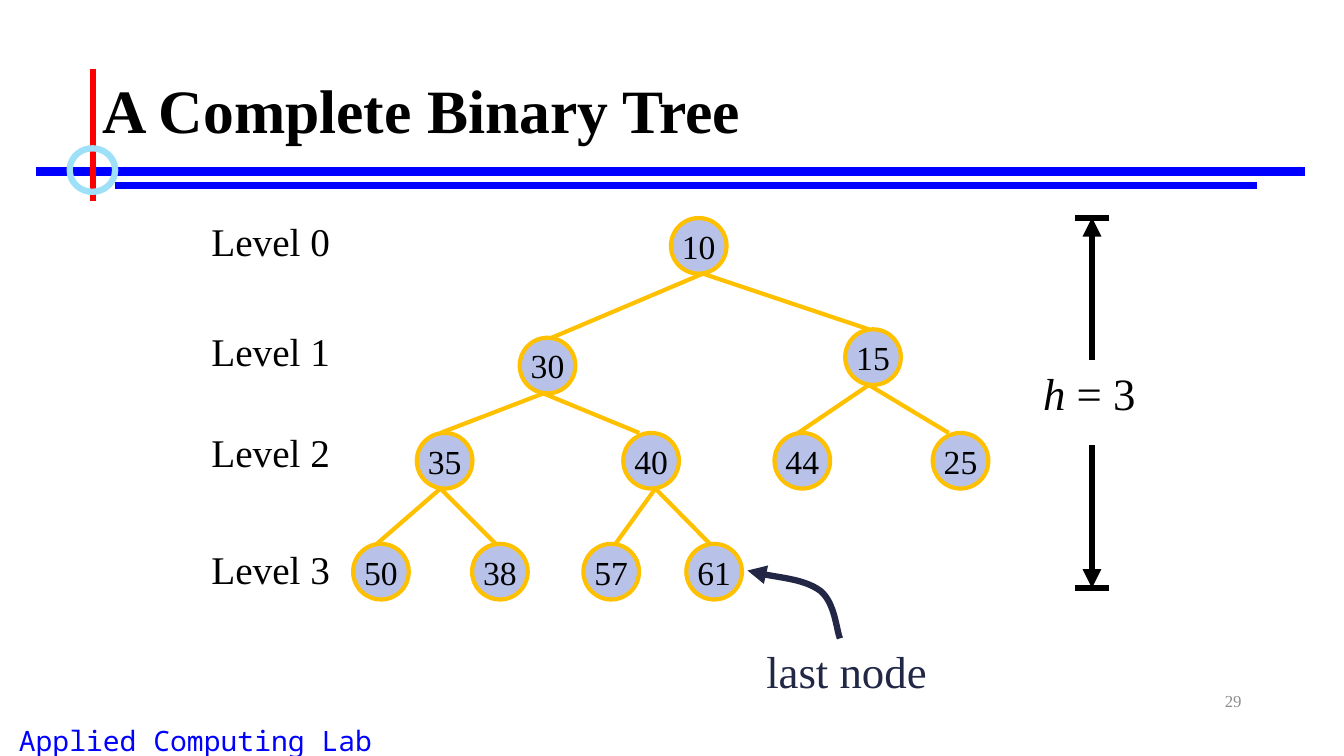
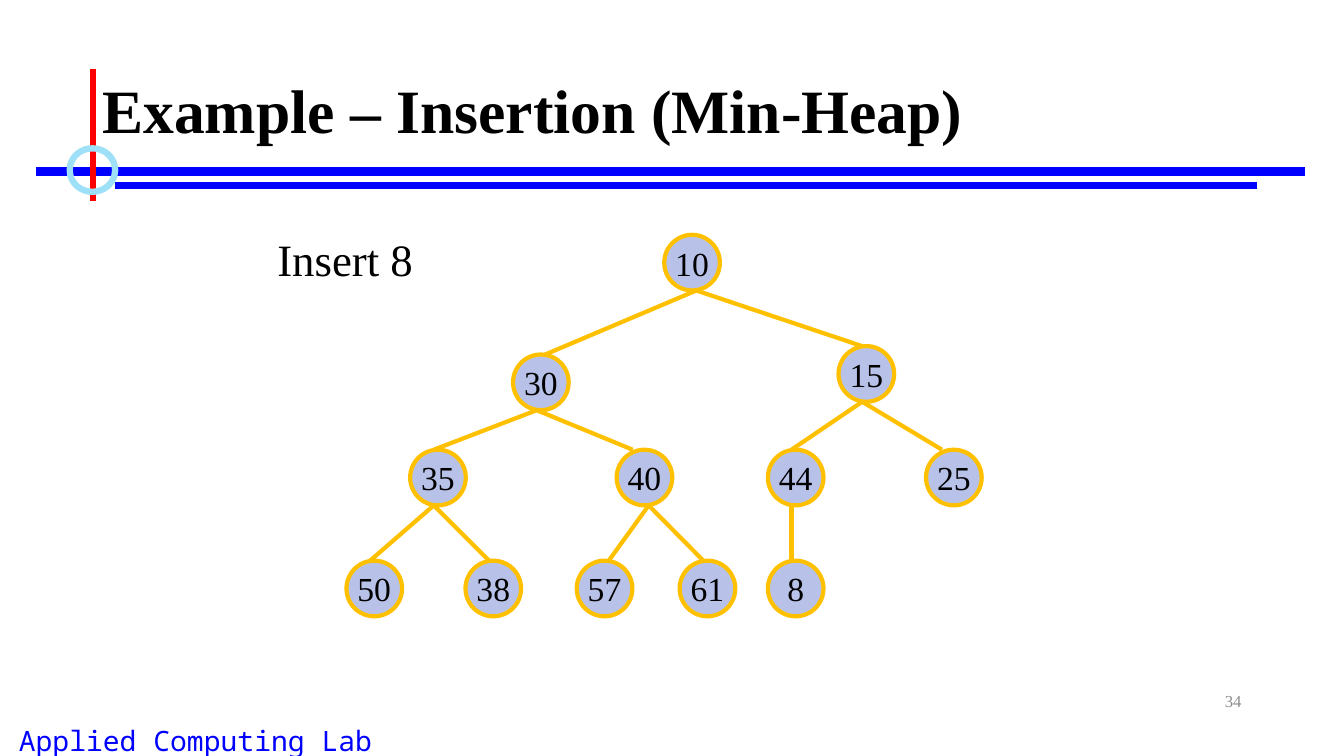
from dataclasses import dataclass
from typing import NamedTuple

from lxml.etree import SubElement
from pptx import Presentation
from pptx.dml.color import RGBColor
from pptx.enum.shapes import MSO_CONNECTOR, MSO_SHAPE
from pptx.enum.text import MSO_ANCHOR, PP_ALIGN
from pptx.oxml.ns import qn
from pptx.util import Pt


@dataclass(frozen=True)
class Theme:
    """Colours, fonts, type sizes and line widths of the deck."""

    ink: str = "000000"
    rule: str = "0000FF"
    accent: str = "FF0000"
    ring: str = "9EE0F8"
    muted: str = "8C8C8C"
    callout: str = "212745"
    node_fill: str = "B8C2E9"
    node_line: str = "FFC000"
    serif: str = "Times New Roman"
    mono: str = "Noto Sans Mono"
    title_size: float = 44
    note_size: float = 32
    level_size: float = 28
    node_size: float = 24
    footer_size: float = 20
    number_size: float = 12
    thin: float = 3
    medium: float = 4.5
    thick: float = 6


class Box(NamedTuple):
    """A region in points."""

    left: float
    top: float
    width: float
    height: float

    def inner(self, left, top, width, height):
        """Return a box placed relative to this one."""
        return Box(self.left + left, self.top + top, width, height)

    def emu(self):
        """Return the four lengths for python-pptx."""
        return [Pt(length) for length in self]


class Node(NamedTuple):
    """A tree node: its place, parent and where edges meet it."""

    value: int
    left: float
    top: float
    parent: int = None
    edge_in: float = -3
    edge_out: float = -3


THEME = Theme()
SLIDE = Box(0, 0, 960, 540)
NODE_SIDE = 39.75
ROW_TOPS = (0, 79.5, 153.5, 232.75)
TREE = [
    Node(10, 227, ROW_TOPS[0], edge_out=3),
    Node(30, 119, 85.5, 10, edge_in=3),
    Node(15, 351.5, ROW_TOPS[1], 10),
    Node(35, 45.5, ROW_TOPS[2], 30),
    Node(40, 193, ROW_TOPS[2], 30, edge_in=-8.5, edge_out=3),
    Node(44, 301, ROW_TOPS[2], 15),
    Node(25, 414, ROW_TOPS[2], 15, edge_in=-8.5),
    Node(50, 0, ROW_TOPS[3], 35),
    Node(38, 85, ROW_TOPS[3], 35),
    Node(57, 164.5, ROW_TOPS[3], 40, edge_in=3),
    Node(61, 238, ROW_TOPS[3], 40),
]
INSERTED = Node(8, 301, ROW_TOPS[3], 44)


def set_text(frame, text, size, color=THEME.ink, font=THEME.serif, bold=False,
             italic_lead="", align=PP_ALIGN.LEFT, anchor=MSO_ANCHOR.TOP,
             wrap=False, spacing=None):
    """Fill a text frame with one formatted paragraph."""
    frame.word_wrap = wrap
    frame.vertical_anchor = anchor
    paragraph = frame.paragraphs[0]
    paragraph.alignment = align
    paragraph.line_spacing = spacing
    for words, italic in ((italic_lead, True), (text, False)):
        if words:
            run = paragraph.add_run()
            run.text = words
            run.font.color.rgb = RGBColor.from_string(color)
            formats = {"name": font, "size": Pt(size), "bold": bold, "italic": italic}
            for name, value in formats.items():
                setattr(run.font, name, value)


def add_text(slide, box, text, size, **formats):
    """Add a text box."""
    set_text(slide.shapes.add_textbox(*box.emu()).text_frame, text, size, **formats)


def set_line(part, color, width, arrow=False):
    """Colour an outline and give its end an optional arrowhead."""
    part.line.color.rgb = RGBColor.from_string(color)
    part.line.width = Pt(width)
    if arrow:
        outline = next(part._element.iter(qn("a:ln")))
        SubElement(outline, qn("a:tailEnd"), type="triangle")


def add_line(slide, start, end, color, width, arrow=False):
    """Add a straight connector without a shadow."""
    ends = [Pt(length) for length in (*start, *end)]
    connector = slide.shapes.add_connector(MSO_CONNECTOR.STRAIGHT, *ends)
    set_line(connector, color, width, arrow)
    SubElement(connector._element.spPr, qn("a:effectLst"))


def add_circle(slide, box, color, width, fill=None):
    """Add an ellipse, hollow unless a fill is given."""
    circle = slide.shapes.add_shape(MSO_SHAPE.OVAL, *box.emu())
    circle.shadow.inherit = False
    if fill:
        circle.fill.solid()
        circle.fill.fore_color.rgb = RGBColor.from_string(fill)
    else:
        circle.fill.background()
    set_line(circle, color, width)
    return circle


def add_frame(slide, box, title, number):
    """Place the rules, footer, title and slide number."""
    add_text(slide, box.inner(0, 513.5, 279.5, 26.5), "Applied Computing Lab",
             THEME.footer_size, color=THEME.rule, font=THEME.mono,
             align=PP_ALIGN.CENTER, wrap=True)
    rules = [
        ((25.5, 122.5), (932.5, 122.5), THEME.rule, THEME.thick),
        ((82, 132.5), (898, 132.5), THEME.rule, THEME.medium),
        ((66.25, 49), (66.25, 143.5), THEME.accent, THEME.medium),
    ]
    for start, end, color, width in rules:
        add_line(slide, box.inner(*start, 0, 0)[:2], box.inner(*end, 0, 0)[:2],
                 color, width)
    add_circle(slide, box.inner(49.75, 106, 32.5, 31), THEME.ring, THEME.medium)
    add_text(slide, box.inner(66, 29, 828, 104.5), title, THEME.title_size, bold=True,
             anchor=MSO_ANCHOR.MIDDLE, wrap=True, spacing=0.9)
    add_text(slide, box.inner(678, 486, 216, 29), str(number), THEME.number_size,
             color=THEME.muted, align=PP_ALIGN.RIGHT, anchor=MSO_ANCHOR.MIDDLE,
             wrap=True)


def add_tree(slide, box, nodes):
    """Draw the nodes, then an edge from each parent to its child."""
    places = {}
    for node in nodes:
        place = box.inner(node.left, node.top, NODE_SIDE, NODE_SIDE)
        circle = add_circle(slide, place, THEME.node_line, THEME.thin, THEME.node_fill)
        set_text(circle.text_frame, str(node.value), THEME.node_size,
                 align=PP_ALIGN.CENTER, anchor=MSO_ANCHOR.MIDDLE)
        places[node.value] = node, place
    for child, low in places.values():
        if child.parent is not None:
            parent, high = places[child.parent]
            start = high.left + NODE_SIDE / 2 + parent.edge_out, high.top + NODE_SIDE
            end = low.left + NODE_SIDE / 2 + child.edge_in, low.top
            add_line(slide, start, end, THEME.node_line, THEME.thin)


def add_levels(slide, box):
    """Label the levels of the tree."""
    for level, top in enumerate((0, 78.5, 150.5, 234)):
        add_text(slide, box.inner(0, top, box.width, 41), f"Level {level}",
                 THEME.level_size)


def add_height(slide, box):
    """Mark the height of the tree with two arrows between end bars."""
    axis, reach, half_bar = box.left + 42, 102, 12
    bottom = box.top + box.height
    for tip, tail in ((box.top, box.top + reach), (bottom, bottom - reach)):
        add_line(slide, (axis, tail), (axis, tip), THEME.ink, THEME.medium, arrow=True)
        add_line(slide, (axis - half_bar, tip), (axis + half_bar, tip),
                 THEME.ink, THEME.medium)
    add_text(slide, box.inner(0, reach, box.width, 46), " = 3", THEME.note_size,
             italic_lead="h")


def add_callout(slide, box):
    """Point a curved arrow from its label to the last node."""
    curve = [(66, 48.5), (63.5, 42.5), (62.5, 23), (52, 14.5), (41, 6.5), (11, 3.5), (0, 0)]
    start, *controls = [(Pt(box.left + x), Pt(box.top + y)) for x, y in curve]
    builder = slide.shapes.build_freeform(*start)
    builder.add_line_segments(controls, close=False)
    arrow = builder.convert_to_shape()
    arrow.shadow.inherit = False
    arrow.fill.background()
    set_line(arrow, THEME.callout, THEME.medium, arrow=True)
    segments = list(arrow._element.iter(qn("a:lnTo")))
    for first in range(0, len(segments), 3):
        bend = SubElement(segments[first].getparent(), qn("a:cubicBezTo"))
        for segment in segments[first:first + 3]:
            bend.append(segment[0])
            segment.getparent().remove(segment)
    add_text(slide, box.inner(6, 48.5, 129.5, 45.5), "last node", THEME.note_size,
             color=THEME.callout, align=PP_ALIGN.CENTER)


def add_complete_tree_slide(slide):
    """Build the slide on complete binary trees."""
    add_frame(slide, SLIDE, "A Complete Binary Tree", 29)
    add_callout(slide, Box(534, 407.5, 135.5, 94))
    add_tree(slide, Box(252.25, 155.75, 454, 272.5), TREE)
    add_levels(slide, Box(144, 152, 99.5, 275))
    add_height(slide, Box(738, 155.5, 83, 264.5))


def add_insertion_slide(slide):
    """Build the slide on insertion into a min-heap."""
    add_frame(slide, SLIDE, "Example – Insertion (Min-Heap)", 34)
    add_tree(slide, Box(247.5, 167.75, 454, 272.5), [*TREE, INSERTED])
    add_text(slide, Box(191, 162, 112, 46), "Insert 8", THEME.note_size)


def main():
    """Build and save the deck."""
    deck = Presentation()
    deck.slide_width, deck.slide_height = Pt(SLIDE.width), Pt(SLIDE.height)
    for build in (add_complete_tree_slide, add_insertion_slide):
        build(deck.slides.add_slide(deck.slide_layouts[6]))
    deck.save("out.pptx")


if __name__ == "__main__":
    main()
